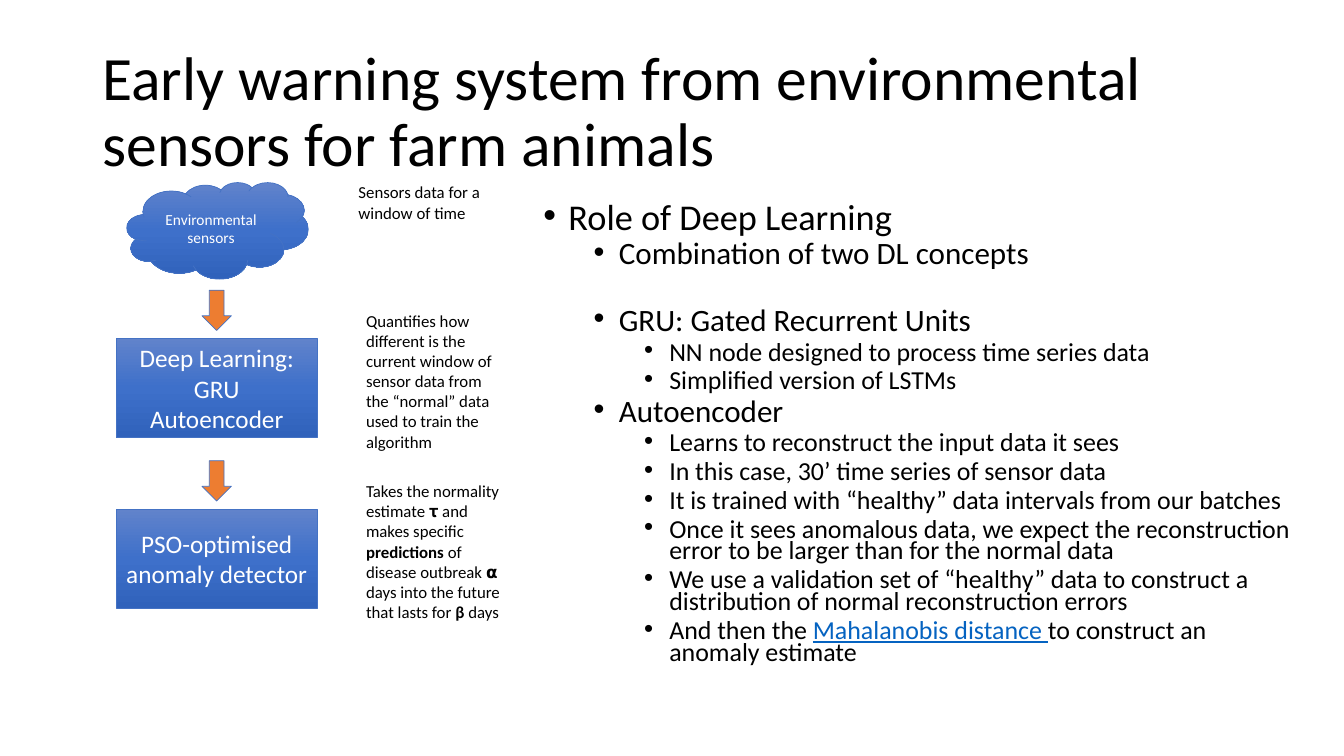
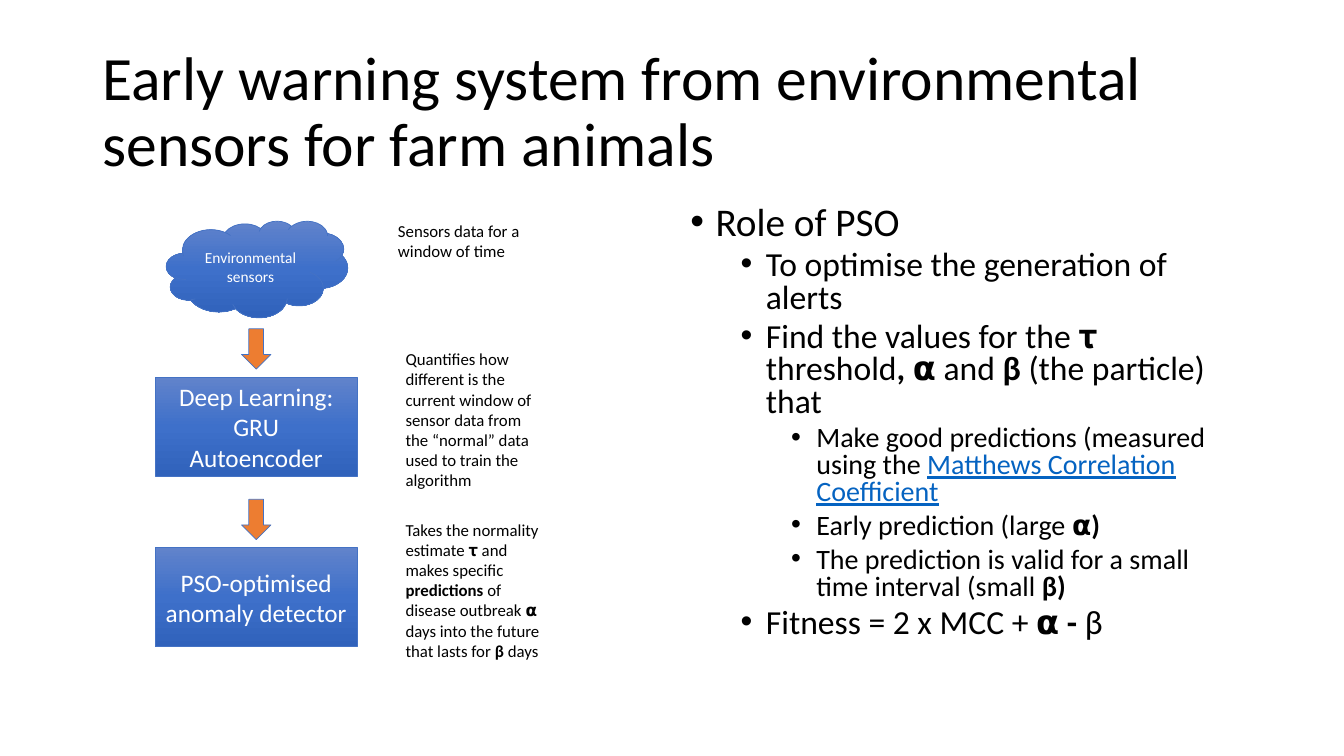
from copy import deepcopy

from pptx import Presentation
from pptx.dml.color import RGBColor
from pptx.enum.shapes import MSO_SHAPE
from pptx.enum.text import MSO_ANCHOR, PP_ALIGN
from pptx.oxml import parse_xml
from pptx.oxml.ns import nsdecls, qn
from pptx.util import Inches, Pt

CLOUD, BOX, ARROW = MSO_SHAPE.CLOUD, MSO_SHAPE.RECTANGLE, MSO_SHAPE.DOWN_ARROW
TOP, MIDDLE = MSO_ANCHOR.TOP, MSO_ANCHOR.MIDDLE
CENTER = PP_ALIGN.CENTER

COLORS = {
    "text": "000000",
    "light": "FFFFFF",
    "link": "0563C1",
    "outline": "4472C4",
    "arrow": "ED7D31",
}
STEP_GRADIENT = ((0, "6183CB"), (0.5, "3E70CA"), (1, "3062BB"))
FONT = "Calibri"
COLUMNS, ROWS = 160, 90
BOLD, LINK = "bold", "link"

TITLE = "Early warning system from environmental sensors for farm animals"
SENSOR_NOTE = "Sensors data for a window of time"
STEPS = (
    (
        "Deep Learning: GRU Autoencoder",
        [
            "Quantifies how different is the current window of sensor data "
            "from the “normal” data used to train the algorithm"
        ],
    ),
    (
        "PSO-optimised anomaly detector",
        [
            "Takes the normality estimate ",
            ("𝛕", BOLD),
            " and makes specific ",
            ("predictions", BOLD),
            " of disease outbreak ",
            ("𝝰", BOLD),
            " days into the future that lasts for ",
            ("β", BOLD),
            " days",
        ],
    ),
)
SLIDES = (
    {
        "flow": (13.8, 21.7),
        "body": (63.5, 24, 91.8, 64.6),
        "sizes": (25.9, 22.2, 18.5),
        "spacing": 0.7,
        "gaps": {2: 29},
        "points": (
            (0, ["Role of Deep Learning"]),
            (1, ["Combination of two DL concepts"]),
            (1, ["GRU: Gated Recurrent Units"]),
            (2, ["NN node designed to process time series data"]),
            (2, ["Simplified version of LSTMs"]),
            (1, ["Autoencoder"]),
            (2, ["Learns to reconstruct the input data it sees"]),
            (2, ["In this case, 30’ time series of sensor data"]),
            (2, ["It is trained with “healthy” data intervals from our batches"]),
            (2, ["Once it sees anomalous data, we expect the reconstruction "
                 "error to be larger than for the normal data"]),
            (2, ["We use a validation set of “healthy” data to construct a "
                 "distribution of normal reconstruction errors"]),
            (2, ["And then the ", ("Mahalanobis distance ", LINK),
                 "to construct an anomaly estimate"]),
        ),
    },
    {
        "flow": (18.5, 26.3),
        "body": (81, 24, 68, 57.1),
        "sizes": (28, 24, 20),
        "spacing": 0.8,
        "gaps": {},
        "points": (
            (0, ["Role of PSO"]),
            (1, ["To optimise the generation of alerts"]),
            (1, ["Find the values for the ", ("𝛕 ", BOLD), "threshold",
                 (", 𝝰 ", BOLD), "and ", ("β ", BOLD), "(the particle) that"]),
            (2, ["Make good predictions (measured using the ",
                 ("Matthews Correlation Coefficient", LINK)]),
            (2, ["Early prediction (large ", ("𝝰)", BOLD)]),
            (2, ["The prediction is valid for a small time interval (small ",
                 ("β)", BOLD)]),
            (1, ["Fitness = 2 x MCC + 𝝰", (" -", BOLD), " β"]),
        ),
    },
)


class Deck:
    """Holds the shared style and the slide being built."""

    def __init__(self):
        self.presentation = Presentation()
        self.presentation.slide_width = Inches(13.33)
        self.presentation.slide_height = Inches(7.5)
        self.column = self.presentation.slide_width / COLUMNS
        self.row = self.presentation.slide_height / ROWS
        self.slide = None

    def place(self, left, top, width, height):
        return (
            round(left * self.column),
            round(top * self.row),
            round(width * self.column),
            round(height * self.row),
        )

    def add_runs(self, paragraph, runs, size, color="text"):
        paragraph.font.name = FONT
        paragraph.font.size = Pt(size)
        paragraph.font.color.rgb = RGBColor.from_string(COLORS[color])
        for item in runs:
            text, style = (item, None) if isinstance(item, str) else item
            run = paragraph.add_run()
            run.text = text
            if style == BOLD:
                run.font.bold = True
            elif style == LINK:
                run.font.underline = True
                run.font.color.rgb = RGBColor.from_string(COLORS["link"])

    def text_frame(self, area, anchor=TOP):
        frame = self.slide.shapes.add_textbox(*self.place(*area)).text_frame
        frame.word_wrap = True
        frame.vertical_anchor = anchor
        return frame

    def start_slide(self, title):
        self.slide = self.presentation.slides.add_slide(
            self.presentation.slide_layouts[6]
        )
        paragraph = self.text_frame((11, 4.8, 138, 17.4), MIDDLE).paragraphs[0]
        paragraph.line_spacing = 0.9
        self.add_runs(paragraph, [title], 44)

    def note(self, area, runs):
        self.add_runs(self.text_frame(area).paragraphs[0], runs, 12)

    def shape(self, kind, area):
        shape = self.slide.shapes.add_shape(kind, *self.place(*area))
        shape.shadow.inherit = False
        shape.line.color.rgb = RGBColor.from_string(COLORS["outline"])
        shape.line.width = Pt(0.5)
        return shape

    def step(self, kind, area, text, size):
        shape = self.shape(kind, area)
        shape.fill.gradient()
        shape.fill.gradient_angle = 270
        stops = shape.element.spPr.find(".//" + qn("a:gsLst"))
        stops.insert(1, deepcopy(stops[0]))
        for stop, (position, color) in zip(shape.fill.gradient_stops, STEP_GRADIENT):
            stop.position = position
            stop.color.rgb = RGBColor.from_string(color)
        frame = shape.text_frame
        frame.word_wrap = True
        frame.vertical_anchor = MIDDLE
        frame.paragraphs[0].alignment = CENTER
        self.add_runs(frame.paragraphs[0], [text], size, "light")

    def arrow(self, area):
        shape = self.shape(ARROW, area)
        shape.fill.solid()
        shape.fill.fore_color.rgb = RGBColor.from_string(COLORS["arrow"])

    def flow(self, left, top):
        self.step(CLOUD, (left + 1.3, top, 21.6, 11.5), "Environmental sensors", 11)
        self.note((left + 27.7, top - 0.6, 18.6, 6), [SENSOR_NOTE])
        for index, (label, note) in enumerate(STEPS):
            step_top = top + 20.3 * index
            self.arrow((left + 10.25, step_top + 12.85, 3.5, 4.8))
            self.step(BOX, (left, step_top + 18.6, 24, 11.8), label, 18)
            self.note((left + 28.6, step_top + 14.65, 18.6, 18.1), note)

    def bullets(self, area, points, sizes, spacing, gaps):
        frame = self.text_frame(area)
        for index, (level, runs) in enumerate(points):
            paragraph = frame.add_paragraph() if index else frame.paragraphs[0]
            properties = paragraph._p.get_or_add_pPr()
            properties.set("marL", str(Inches(0.25 + 0.5 * level)))
            properties.set("indent", str(Inches(-0.25)))
            for tag in ('a:buFont {} typeface="Arial"', 'a:buChar {} char="•"'):
                properties.append(parse_xml(f"<{tag.format(nsdecls('a'))}/>"))
            paragraph.level = level
            paragraph.line_spacing = spacing
            paragraph.space_before = Pt(gaps.get(index, 5) if index else 0)
            self.add_runs(paragraph, runs, sizes[level])


def main():
    deck = Deck()
    for content in SLIDES:
        deck.start_slide(TITLE)
        deck.bullets(
            content["body"],
            content["points"],
            content["sizes"],
            content["spacing"],
            content["gaps"],
        )
        deck.flow(*content["flow"])
    deck.presentation.save("out.pptx")


if __name__ == "__main__":
    main()
